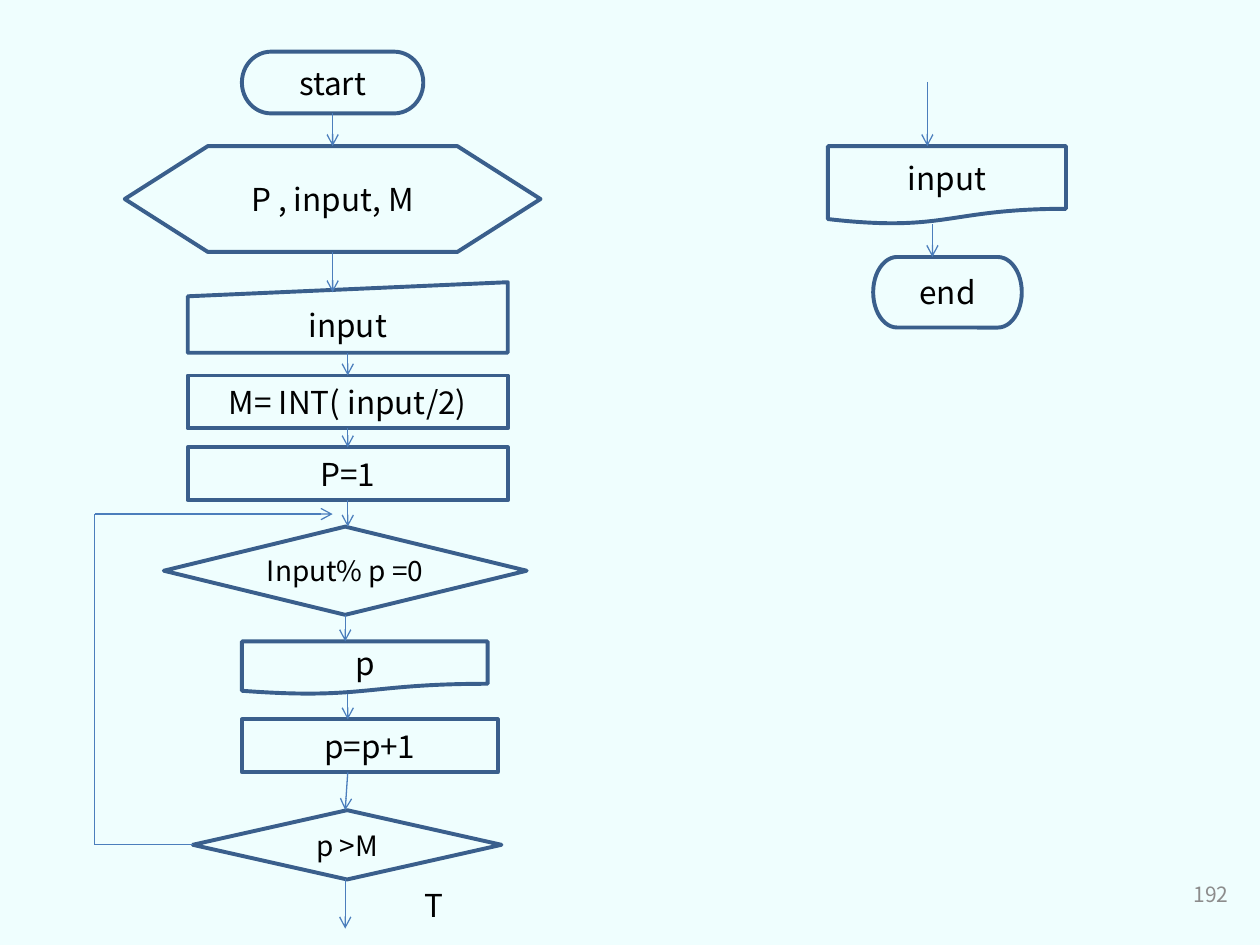
from dataclasses import dataclass
from typing import Optional

import pptx
import pptx.dml.color
import pptx.enum.shapes
import pptx.enum.text
import pptx.oxml
import pptx.oxml.ns
import pptx.util

KIND = pptx.enum.shapes.MSO_SHAPE
ALIGN = pptx.enum.text.PP_ALIGN
ANCHOR = pptx.enum.text.MSO_ANCHOR
FONT = "Noto Sans CJK KR"
BACKGROUND, OUTLINE, ARROW = "EFFEFE", "3A5F8C", "4B7EBC"
BLACK, GREY = "000000", "8C8C8C"
TOP, LEFT, BOTTOM = 0, 1, 2

# Grid of the slide: 100 columns by 75 rows
WIDTH, HEIGHT = pptx.util.Inches(10), pptx.util.Inches(7.5)
COLUMNS, ROWS = 100, 75


@dataclass
class Step:
    """A flowchart symbol, centred on a column."""
    kind: KIND
    text: str
    centre: float
    top: float
    width: float
    height: float
    size: int = 18

    @property
    def left(self) -> float:
        return self.centre - self.width / 2

    @property
    def bottom(self) -> float:
        return self.top + self.height


@dataclass
class Flow:
    """An arrow from the bottom of one step to the top of another."""
    upper: str
    lower: str
    column: float
    end_column: Optional[float] = None
    end_row: Optional[float] = None


STEPS = {
    "start": Step(KIND.FLOWCHART_TERMINATOR, "start", 26.4, 4.1, 14.4, 4.9),
    "variables": Step(KIND.FLOWCHART_PREPARATION, "P , input, M", 26.4, 11.6, 33, 8.4),
    "read": Step(KIND.FLOWCHART_MANUAL_INPUT, "input", 27.6, 22.4, 25.4, 5.6),
    "half": Step(KIND.RECTANGLE, "M= INT( input/2)", 27.6, 29.8, 25.4, 4.2),
    "first": Step(KIND.FLOWCHART_PROCESS, "P=1", 27.6, 35.5, 25.4, 4.2),
    "divides": Step(KIND.FLOWCHART_DECISION, "Input% p =0", 27.4, 41.8, 28.8, 7, 16),
    "print divisor": Step(KIND.FLOWCHART_DOCUMENT, "p", 28.95, 50.9, 19.5, 4.2),
    "next": Step(KIND.RECTANGLE, "p=p+1", 29.35, 57.1, 20.3, 4.2),
    "finished": Step(KIND.FLOWCHART_DECISION, "p >M", 27.55, 64.3, 24.5, 5.5, 16),
    "print input": Step(KIND.FLOWCHART_DOCUMENT, "input", 75.15, 11.6, 18.9, 6.2),
    "end": Step(KIND.FLOWCHART_TERMINATOR, "end", 75.2, 20.4, 11.8, 5.6),
}

FLOWS = [
    Flow("start", "variables", 26.4),
    Flow("variables", "read", 26.4, end_row=23.2),
    Flow("read", "half", 27.6),
    Flow("half", "first", 27.6),
    Flow("first", "divides", 27.6),
    Flow("divides", "print divisor", 27.4),
    Flow("print divisor", "next", 27.6),
    Flow("next", "finished", 27.6, end_column=27.4),
    Flow("print input", "end", 74),
]


def col(count: float) -> int:
    return round(WIDTH * count / COLUMNS)


def row(count: float) -> int:
    return round(HEIGHT * count / ROWS)


def paint(colour_format, colour: str) -> None:
    colour_format.rgb = pptx.dml.color.RGBColor.from_string(colour)


def write(shape, text: str, size: int, colour: str, align, anchor) -> None:
    frame = shape.text_frame
    frame.text = text
    frame.vertical_anchor = anchor
    paragraph = frame.paragraphs[0]
    paragraph.alignment = align
    paragraph.font.size = pptx.util.Pt(size)
    paragraph.font.name = FONT
    paint(paragraph.font.color, colour)


def draw_step(slide, step: Step):
    shape = slide.shapes.add_shape(step.kind, col(step.left), row(step.top),
                                   col(step.width), row(step.height))
    shape.shadow.inherit = False
    shape.fill.background()
    paint(shape.line.color, OUTLINE)
    shape.line.width = pptx.util.Pt(2.25)
    shape.text_frame.word_wrap = True
    write(shape, step.text, step.size, BLACK, ALIGN.CENTER, ANCHOR.MIDDLE)
    return shape


def draw_line(slide, start: tuple[float, float], end: tuple[float, float],
              arrow: bool = True):
    line = slide.shapes.add_connector(
        pptx.enum.shapes.MSO_CONNECTOR.STRAIGHT,
        col(start[0]), row(start[1]), col(end[0]), row(end[1]))
    paint(line.line.color, ARROW)
    line.line.width = pptx.util.Pt(0.75)
    if arrow:
        head = pptx.oxml.parse_xml(
            f'<a:tailEnd {pptx.oxml.ns.nsdecls("a")} type="arrow"/>')
        line.line._get_or_add_ln().append(head)
    line._element.spPr.append(
        pptx.oxml.parse_xml(f'<a:effectLst {pptx.oxml.ns.nsdecls("a")}/>'))
    return line


def draw_flow(slide, flow: Flow, shapes: dict) -> None:
    upper, lower = STEPS[flow.upper], STEPS[flow.lower]
    end_column = flow.end_column or flow.column
    end_row = flow.end_row or lower.top
    line = draw_line(slide, (flow.column, upper.bottom), (end_column, end_row))
    # Join only the ends that meet the middle of a side
    if flow.column == upper.centre:
        line.begin_connect(shapes[flow.upper], BOTTOM)
    if (end_column, end_row) == (lower.centre, lower.top):
        line.end_connect(shapes[flow.lower], TOP)


def draw_label(slide, text: str, left: float, top: float, width: float, size: int,
               colour: str, align, anchor, wrap: bool) -> None:
    label = slide.shapes.add_textbox(col(left), row(top), col(width), row(4))
    label.text_frame.word_wrap = wrap
    write(label, text, size, colour, align, anchor)


def main() -> None:
    deck = pptx.Presentation()
    deck.slide_width, deck.slide_height = WIDTH, HEIGHT
    slide = deck.slides.add_slide(deck.slide_layouts[6])
    slide.background.fill.solid()
    paint(slide.background.fill.fore_color, BACKGROUND)

    # Symbols and the arrows between them
    shapes = {name: draw_step(slide, step) for name, step in STEPS.items()}
    for flow in FLOWS:
        draw_flow(slide, flow, shapes)

    # Exit at the foot of the first column, continued in the second
    draw_line(slide, (27.4, STEPS["finished"].bottom), (27.4, 73.7))
    draw_line(slide, (73.6, 6.5), (73.6, STEPS["print input"].top))

    # Loop back to the divisor test
    finished = STEPS["finished"]
    middle = finished.top + finished.height / 2
    loop = [(finished.left, middle), (7.5, middle), (7.5, 40.8), (26.4, 40.8)]
    exit_line = draw_line(slide, loop[0], loop[1], arrow=False)
    exit_line.begin_connect(shapes["finished"], LEFT)
    draw_line(slide, loop[1], loop[2], arrow=False)
    draw_line(slide, loop[2], loop[3])

    # Branch label and page number
    draw_label(slide, "T", 32.7, 69.8, 3.9, 18, BLACK, ALIGN.LEFT, ANCHOR.TOP, False)
    draw_label(slide, "192", 75.2, 69, 23.3, 12, GREY, ALIGN.RIGHT, ANCHOR.MIDDLE, True)

    deck.save("out.pptx")


if __name__ == "__main__":
    main()
